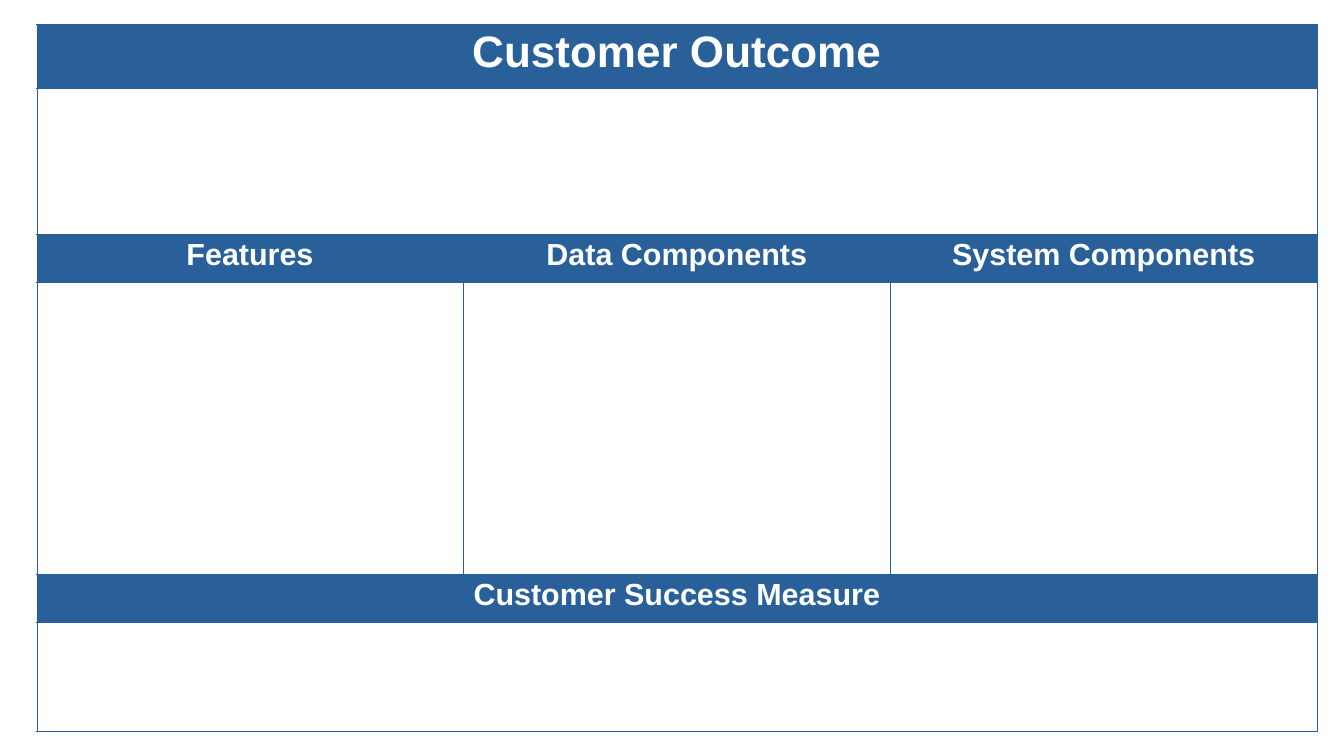
from lxml.etree import SubElement
from pptx import Presentation
from pptx.dml.color import RGBColor
from pptx.enum.text import MSO_ANCHOR as Anchor, PP_ALIGN as Align
from pptx.oxml.ns import qn
from pptx.util import Inches, Pt

BLUE = RGBColor(0x2A, 0x60, 0x99)
WHITE = RGBColor(0xFF, 0xFF, 0xFF)

COLUMNS = 3
COLUMN_WIDTH = 3.5
ROWS = [
    (0.52, ["Customer Outcome"], 26),
    (1.2, [""], 18),
    (0.39, ["Features", "Data Components", "System Components"], 18),
    (2.4, [""] * COLUMNS, 18),
    (0.39, ["Customer Success Measure"], 18),
    (0.9, [""], 18),
]


def write_text(cell, text, *, size, color=WHITE, font="Arial", bold=True):
    para = cell.text_frame.paragraphs[0]
    para.alignment = Align.CENTER
    para.line_spacing = 0.93
    span = para.add_run()
    span.text = text
    span.font.name = font
    span.font.size = Pt(size)
    span.font.bold = bold
    span.font.color.rgb = color


class Canvas:
    def __init__(self, page, line_color=BLUE, line_width=0.06):
        self.page = page
        self.line_color = line_color
        self.line_width = line_width

    def border(self, cell):
        properties = cell._tc.get_or_add_tcPr()
        for position, side in enumerate(("lnL", "lnR", "lnT", "lnB")):
            line = SubElement(properties, qn(f"a:{side}"), w=str(Pt(self.line_width)))
            fill = SubElement(line, qn("a:solidFill"))
            SubElement(fill, qn("a:srgbClr"), val=str(self.line_color))
            properties.insert(position, line)

    def cell(self, cell, fill):
        cell.fill.solid()
        cell.fill.fore_color.rgb = fill
        cell.vertical_anchor = Anchor.TOP
        self.border(cell)

    def table(self, left, top, rows):
        width = COLUMNS * COLUMN_WIDTH
        height = sum(row[0] for row in rows)
        frame = self.page.shapes.add_table(
            len(rows), COLUMNS, Inches(left), Inches(top), Inches(width), Inches(height)
        )
        table = frame.table
        table.first_row = False
        table.horz_banding = False
        for column in table.columns:
            column.width = Inches(COLUMN_WIDTH)
        for index, (row_height, labels, size) in enumerate(rows):
            table.rows[index].height = Inches(row_height)
            for number in range(COLUMNS):
                self.cell(table.cell(index, number), BLUE if labels[0] else WHITE)
            if len(labels) == 1:
                table.cell(index, 0).merge(table.cell(index, COLUMNS - 1))
            for number, label in enumerate(labels):
                if label:
                    write_text(table.cell(index, number), label, size=size)


def main():
    deck = Presentation()
    deck.slide_width = Inches(11.02)
    deck.slide_height = Inches(6.2)
    page = deck.slides.add_slide(deck.slide_layouts[6])
    Canvas(page).table(0.3, 0.2, ROWS)
    deck.save("out.pptx")


if __name__ == "__main__":
    main()
